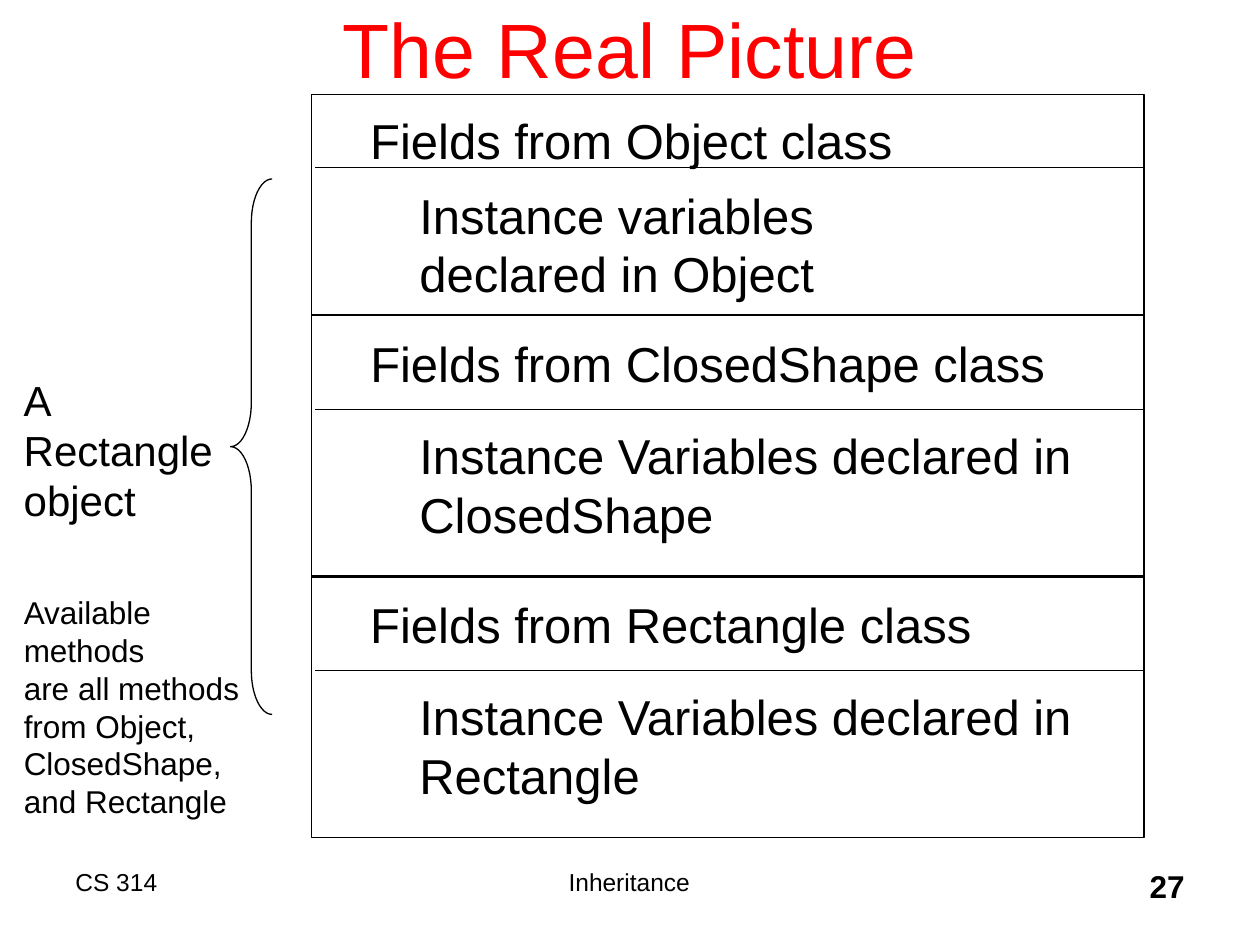
"""Build the slide that shows how a Rectangle object stores inherited fields."""
from dataclasses import dataclass

import pptx
import pptx.dml.color
import pptx.enum.shapes
import pptx.enum.text
import pptx.oxml
import pptx.oxml.ns
import pptx.util

Inches = pptx.util.Inches
Pt = pptx.util.Pt
Align = pptx.enum.text.PP_ALIGN
Shapes = pptx.enum.shapes.MSO_SHAPE


@dataclass(frozen=True)
class Theme:
    font: str = "Arial"
    ink: str = "000000"
    title_ink: str = "FF0000"
    title: int = 44
    body: int = 28
    label: int = 24
    note: int = 18
    footer: int = 14
    line: float = 0.74


@dataclass(frozen=True)
class Section:
    heading: str
    details: str
    top: float
    height: float
    divider: float
    heading_top: float
    heading_width: float
    details_top: float
    details_width: float = 5.52


@dataclass(frozen=True)
class Label:
    text: str
    left: float
    top: float
    width: float
    height: float
    size: int
    align: Align = Align.LEFT
    bold: bool = False
    before: int = 0
    wrap: bool = True


THEME = Theme()
BOX_LEFT, BOX_WIDTH, DIVIDER_LEFT = 2.47, 6.61, 2.5
HEADING_LEFT, DETAILS_LEFT = 2.84, 3.23

SECTIONS = [
    Section("Fields from Object class", "Instance variables declared in Object",
            0.75, 1.75, 1.33, 0.83, 4.34, 1.42, 4.18),
    Section("Fields from ClosedShape class", "Instance Variables declared in ClosedShape",
            2.5, 2.08, 3.25, 2.6, 5.55, 3.33),
    Section("Fields from Rectangle class", "Instance Variables declared in Rectangle",
            4.57, 2.08, 5.32, 4.67, 4.97, 5.4),
]

LABELS = [
    Label("CS 314", 0.5, 6.83, 2.5, 0.5, THEME.footer),
    Label("Inheritance", 3.08, 6.83, 3.83, 0.5, THEME.footer, Align.CENTER),
    Label("27", 7.42, 6.83, 2.08, 0.5, THEME.note, Align.RIGHT, bold=True),
    Label("A \nRectangle\nobject", 0.09, 2.92, 1.7, 1.3, THEME.label, before=6, wrap=False),
    Label("Available\nmethods \nare all methods\nfrom Object, \nClosedShape, \nand Rectangle",
          0.09, 4.66, 1.91, 1.9, THEME.note, wrap=False),
]


def apply(target: object, values: dict) -> None:
    """Set each named attribute on the target."""
    for name, value in values.items():
        setattr(target, name, value)


def write(box, text: str, size: int, color: str, align: Align,
          bold: bool = False, before: int = 0) -> None:
    """Put one formatted paragraph into a box."""
    para = box.text_frame.paragraphs[0]
    para.text = text
    apply(para, {"alignment": align, "space_before": Pt(before)})
    for span in para.runs:
        apply(span.font, {"name": THEME.font, "size": Pt(size), "bold": bold})
        span.font.color.rgb = pptx.dml.color.RGBColor.from_string(color)


def add_label(page, label: Label) -> None:
    """Add a text box."""
    box = page.shapes.add_textbox(Inches(label.left), Inches(label.top),
                                  Inches(label.width), Inches(label.height))
    box.text_frame.word_wrap = label.wrap
    write(box, label.text, label.size, THEME.ink, label.align, label.bold, label.before)


def style_line(shape) -> None:
    """Give a shape or connector the thin black line."""
    shape.line.color.rgb = pptx.dml.color.RGBColor.from_string(THEME.ink)
    shape.line.width = Pt(THEME.line)


def add_outline(page, kind: Shapes, left: float, top: float, width: float, height: float):
    """Add an unfilled preset shape."""
    shape = page.shapes.add_shape(kind, Inches(left), Inches(top), Inches(width), Inches(height))
    shape.shadow.inherit = False
    shape.fill.background()
    style_line(shape)
    return shape


def add_section(page, section: Section) -> None:
    """Draw one class section with its divider and two texts."""
    add_outline(page, Shapes.RECTANGLE, BOX_LEFT, section.top, BOX_WIDTH, section.height)
    divider = page.shapes.add_connector(
        pptx.enum.shapes.MSO_CONNECTOR.STRAIGHT, Inches(DIVIDER_LEFT), Inches(section.divider),
        Inches(BOX_LEFT + BOX_WIDTH), Inches(section.divider))
    style_line(divider)
    properties = divider._element.spPr
    properties.append(pptx.oxml.parse_xml(f"<a:effectLst {pptx.oxml.ns.nsdecls('a')}/>"))
    add_label(page, Label(section.heading, HEADING_LEFT, section.heading_top,
                          section.heading_width, 0.57, THEME.body, before=7, wrap=False))
    add_label(page, Label(section.details, DETAILS_LEFT, section.details_top,
                          section.details_width, 1.04, THEME.body, before=7))


def main() -> None:
    """Build and save the deck."""
    deck = pptx.Presentation()
    apply(deck, {"slide_width": Inches(10), "slide_height": Inches(7.5)})
    page = deck.slides.add_slide(deck.slide_layouts.get_by_name("Title Only"))
    title = page.shapes.title
    apply(title, {"left": Inches(0.75), "top": Inches(-0.25),
                  "width": Inches(8.5), "height": Inches(1.25)})
    title.text_frame.vertical_anchor = pptx.enum.text.MSO_ANCHOR.MIDDLE
    write(title, "The Real Picture", THEME.title, THEME.title_ink, Align.CENTER)
    for section in SECTIONS:
        add_section(page, section)
    brace = add_outline(page, Shapes.LEFT_BRACE, 1.83, 1.42, 0.33, 4.25)
    brace.adjustments[0] = 1.06
    for label in LABELS:
        add_label(page, label)
    deck.save("out.pptx")


main()
